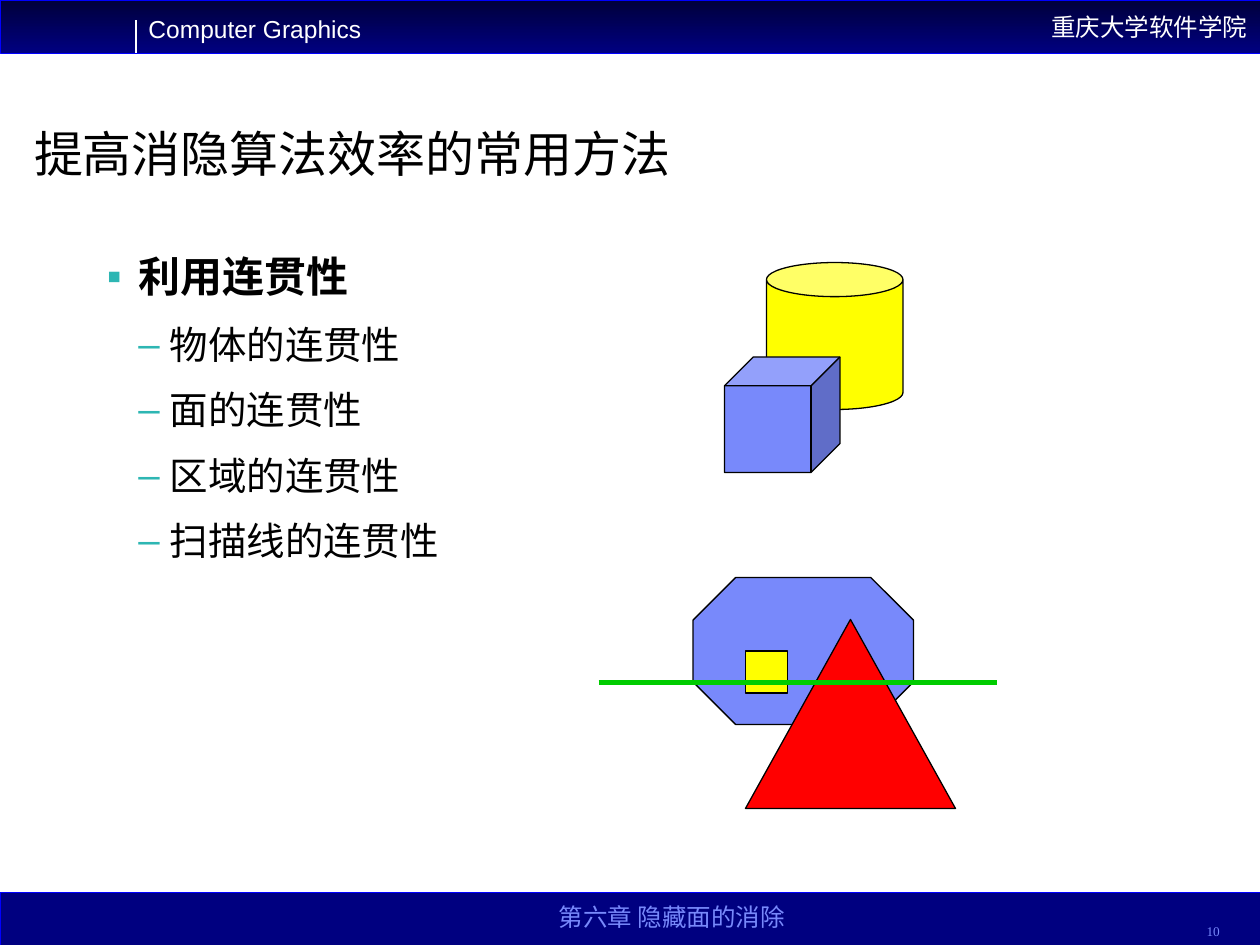
"""Build a lecture slide on coherence in hidden-surface removal."""
from dataclasses import dataclass

from lxml import etree
from pptx import Presentation
from pptx.dml.color import RGBColor
from pptx.enum.shapes import MSO_CONNECTOR, MSO_SHAPE
from pptx.enum.text import MSO_ANCHOR, MSO_AUTO_SIZE, PP_ALIGN
from pptx.oxml.ns import qn
from pptx.util import Inches, Pt

RECT, CAN, CUBE = MSO_SHAPE.RECTANGLE, MSO_SHAPE.CAN, MSO_SHAPE.CUBE
OCTAGON, TRIANGLE = MSO_SHAPE.OCTAGON, MSO_SHAPE.ISOSCELES_TRIANGLE
STRAIGHT = MSO_CONNECTOR.STRAIGHT
LEFT, CENTER, RIGHT = PP_ALIGN.LEFT, PP_ALIGN.CENTER, PP_ALIGN.RIGHT
TOP, MIDDLE, BOTTOM = MSO_ANCHOR.TOP, MSO_ANCHOR.MIDDLE, MSO_ANCHOR.BOTTOM
NO_FIT = MSO_AUTO_SIZE.NONE
WIDTH, HEIGHT = Inches(10), Inches(7.5)
COLS, ROWS = 120, 90
TITLE_ONLY = 5


@dataclass(frozen=True)
class Theme:
    sans: str = "Arial"
    serif: str = "Times New Roman"
    black: str = "000000"
    white: str = "FFFFFF"
    navy: str = "000080"
    midnight: str = "00003B"
    edge: str = "0000FF"
    violet: str = "7889FB"
    teal: str = "2DB6B3"
    yellow: str = "FFFF00"
    red: str = "FF0000"
    green: str = "00CC00"
    title: float = 28
    topic: float = 24
    item: float = 22
    band: float = 14
    number: float = 7.6


T = Theme()


@dataclass(frozen=True)
class Style:
    size: float
    color: str
    font: str = T.sans
    bold: bool = False
    align: PP_ALIGN = LEFT
    spacing: float = 1.0


@dataclass(frozen=True)
class Label:
    text: str
    box: tuple
    style: Style
    anchor: MSO_ANCHOR = TOP


@dataclass(frozen=True)
class Bullet:
    text: str
    mark: str
    indent: float
    before: float
    after: float
    style: Style


@dataclass(frozen=True)
class Solid:
    kind: MSO_SHAPE
    box: tuple
    color: str
    adj: float | None = None


TITLE = Label("提高消隐算法效率的常用方法", (2.04, 11.4, 108.24, 6.6),
              Style(T.title, T.black, spacing=0.9), BOTTOM)
LABELS = (
    Label("Computer Graphics", (12.96, 0.72, 22.68, 4.08), Style(T.band, T.white)),
    Label("第六章 隐藏面的消除", (45, 84.72, 38, 4.56),
          Style(T.band, T.violet, T.serif, align=CENTER), BOTTOM),
    Label("10", (105.36, 85.44, 12, 4.56),
          Style(T.number, T.violet, T.serif, align=RIGHT, spacing=0.8), BOTTOM),
)
SCHOOL = "重庆大学软件学院"
TOPIC = Bullet("利用连贯性", "▪", 0.25, 0, 4.5, Style(T.topic, T.black, bold=True))
KINDS = ("物体", "面", "区域", "扫描线")
ITEMS = tuple(Bullet(f"{kind}的连贯性", "–", 0.5, 6.9, 4.1, Style(T.item, T.black))
              for kind in KINDS)
SOLIDS = (
    Solid(CAN, (73, 25, 13, 14), T.yellow, 0.25),
    Solid(CUBE, (69, 34, 11, 11), T.violet, 0.25),
    Solid(OCTAGON, (66, 55, 21, 14), T.violet, 0.29),
    Solid(TRIANGLE, (71, 59, 20, 18), T.red, 0.5),
    Solid(RECT, (71, 62, 4, 4), T.yellow),
)


def rgb(color: str) -> RGBColor:
    """Turn a hex string into a colour."""
    return RGBColor.from_string(color)


def place(box: tuple) -> tuple:
    """Convert columns and rows to lengths."""
    units = (WIDTH / COLS, HEIGHT / ROWS) * 2
    return tuple(round(v * unit) for v, unit in zip(box, units))


def add_run(p, text: str, style: Style) -> None:
    """Add one styled run to a paragraph."""
    p.alignment, p.line_spacing = style.align, style.spacing
    r = p.add_run()
    r.text = text
    r.font.name, r.font.size, r.font.bold = style.font, Pt(style.size), style.bold
    r.font.color.rgb = rgb(style.color)


def fill_frame(sp, label: Label) -> None:
    """Write a label into a shape's text frame."""
    tf = sp.text_frame
    tf.word_wrap, tf.auto_size, tf.vertical_anchor = True, NO_FIT, label.anchor
    add_run(tf.paragraphs[0], label.text, label.style)


def add_label(slide, label: Label) -> None:
    """Add a text box for a label."""
    fill_frame(slide.shapes.add_textbox(*place(label.box)), label)


def add_bullet(p, bullet: Bullet) -> None:
    """Format one bulleted paragraph."""
    pPr = p._p.get_or_add_pPr()
    pPr.set("marL", str(Inches(bullet.indent)))
    pPr.set("indent", str(Inches(-0.25)))
    clr = etree.SubElement(pPr, qn("a:buClr"))
    etree.SubElement(clr, qn("a:srgbClr"), val=T.teal)
    etree.SubElement(pPr, qn("a:buFont"), typeface=T.sans)
    etree.SubElement(pPr, qn("a:buChar"), char=bullet.mark)
    p.space_before, p.space_after = Pt(bullet.before), Pt(bullet.after)
    add_run(p, bullet.text, bullet.style)


def add_solid(slide, solid: Solid, line: str = T.black, width: float = 0.75):
    """Draw one filled and outlined preset shape."""
    sp = slide.shapes.add_shape(solid.kind, *place(solid.box))
    sp.shadow.inherit = False
    sp.fill.solid()
    sp.fill.fore_color.rgb = rgb(solid.color)
    sp.line.color.rgb, sp.line.width = rgb(line), Pt(width)
    if solid.adj is not None:
        sp.adjustments[0] = solid.adj
    return sp


def add_line(slide, start: tuple, end: tuple, color: str, width: float) -> None:
    """Draw a straight line between two grid points."""
    ln = slide.shapes.add_connector(STRAIGHT, *place(start), *place(end))
    ln.line.color.rgb, ln.line.width = rgb(color), Pt(width)
    etree.SubElement(ln._element.spPr, qn("a:effectLst"))


def add_bands(slide) -> None:
    """Draw the header and footer bands."""
    header, _ = (add_solid(slide, Solid(RECT, (0, top, COLS, 5.04), T.navy), T.edge, 0.25)
                 for top in (0, ROWS - 5.04))
    header.fill.gradient()
    header.fill.gradient_angle = 270
    for stop, color in zip(header.fill.gradient_stops, (T.midnight, T.navy)):
        stop.color.rgb = rgb(color)
    fill_frame(header, Label(SCHOOL, (), Style(T.band, T.white, align=RIGHT), MIDDLE))


def main() -> None:
    """Assemble and save the slide."""
    prs = Presentation()
    prs.slide_width, prs.slide_height = WIDTH, HEIGHT
    slide = prs.slides.add_slide(prs.slide_layouts[TITLE_ONLY])
    add_bands(slide)
    add_line(slide, (12.96, 1.92), (12.96, 5.04), T.white, 0.75)
    for label in LABELS:
        add_label(slide, label)
    title = slide.shapes.title
    title.left, title.top, title.width, title.height = place(TITLE.box)
    fill_frame(title, TITLE)
    tf = slide.shapes.add_textbox(*place((9, 23.28, 102, 51.24))).text_frame
    tf.word_wrap = True
    add_bullet(tf.paragraphs[0], TOPIC)
    for item in ITEMS:
        add_bullet(tf.add_paragraph(), item)
    for solid in SOLIDS:
        add_solid(slide, solid)
    add_line(slide, (57, 65), (95, 65), T.green, 3)
    prs.save("out.pptx")


if __name__ == "__main__":
    main()
